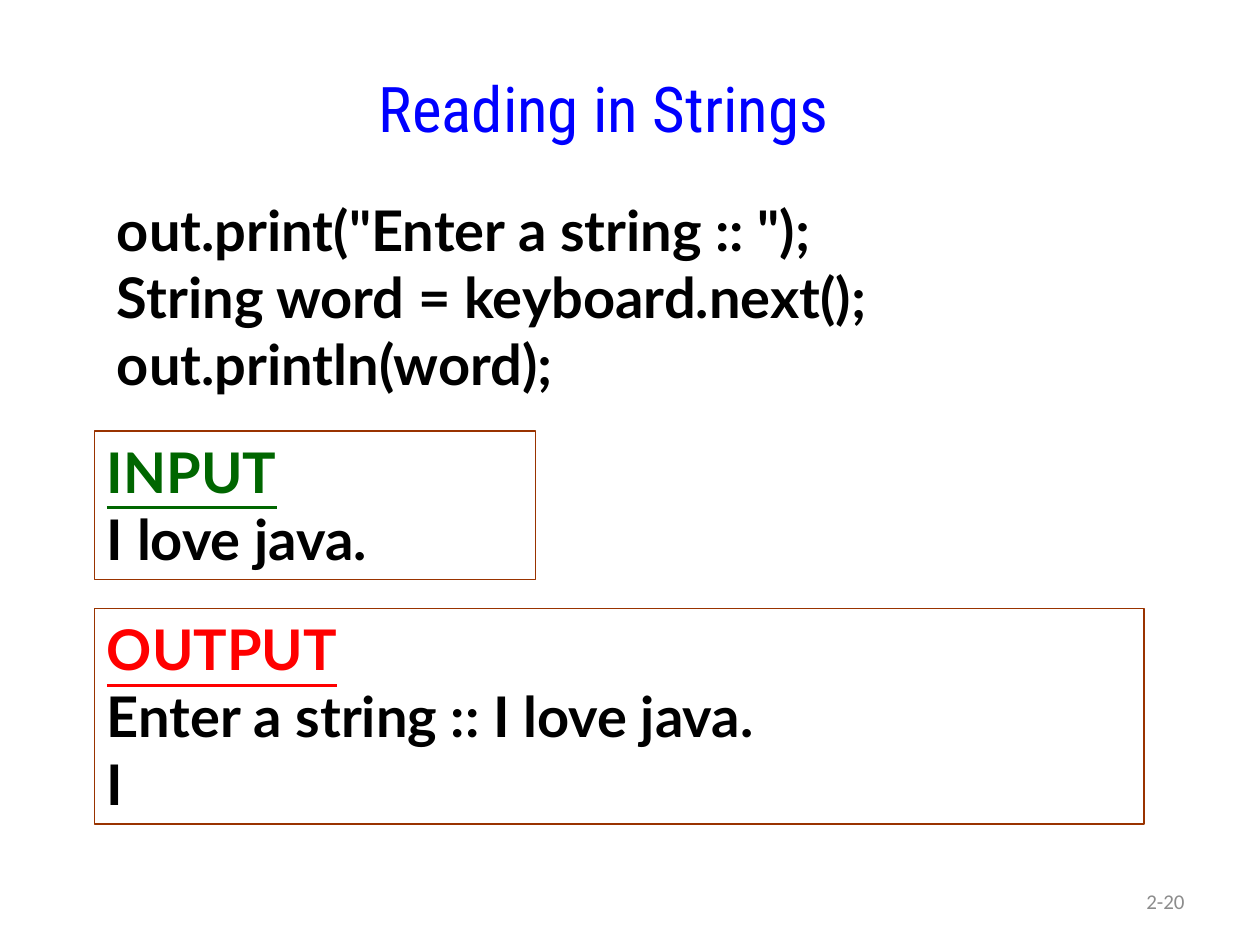
import dataclasses

import pptx
import pptx.dml.color
import pptx.enum.shapes
import pptx.enum.text
import pptx.util

ALIGN = pptx.enum.text.PP_ALIGN
ANCHOR = pptx.enum.text.MSO_ANCHOR
WIDTH, HEIGHT = 10, 7.5


@dataclasses.dataclass(frozen=True)
class Theme:
    title_font: str = "Roboto Condensed"
    body_font: str = "Lato"
    number_font: str = "Calibri"
    title_size: int = 36
    body_size: int = 32
    number_size: int = 12
    title: str = "0000FF"
    ink: str = "000000"
    paper: str = "FFFFFF"
    border: str = "993300"
    input: str = "006600"
    output: str = "FF0000"
    number: str = "8C8C8C"


THEME = Theme()


def rgb(value):
    return pptx.dml.color.RGBColor.from_string(value)


def inches(box):
    return [pptx.util.Inches(v) for v in box]


def style(p, name, size, color, bold=False, underline=False):
    font = p.font
    font.name, font.size = name, pptx.util.Pt(size)
    font.color.rgb = rgb(color)
    font.bold, font.underline = bold, underline


def add_label(slide, box, text, font, align, anchor=ANCHOR.TOP, wrap=True):
    tf = slide.shapes.add_textbox(*inches(box)).text_frame
    tf.word_wrap, tf.vertical_anchor = wrap, anchor
    p = tf.paragraphs[0]
    p.text, p.alignment = text, align
    style(p, *font)


def add_panel(slide, box, lines, heading=None, fill=None, border=None):
    """Rectangle of bold lines; a heading colour underlines the first line."""
    s = slide.shapes.add_shape(pptx.enum.shapes.MSO_SHAPE.RECTANGLE, *inches(box))
    s.shadow.inherit = False
    if fill:
        s.fill.solid()
        s.fill.fore_color.rgb = rgb(fill)
    else:
        s.fill.background()
    if border:
        s.line.color.rgb = rgb(border)
        s.line.width = pptx.util.Pt(1)
    else:
        s.line.fill.background()
    tf = s.text_frame
    tf.word_wrap, tf.vertical_anchor = True, ANCHOR.TOP
    for i, line in enumerate(lines):
        p = tf.paragraphs[0] if i == 0 else tf.add_paragraph()
        p.text, p.alignment = line, ALIGN.LEFT
        is_heading = heading is not None and i == 0
        style(p, THEME.body_font, THEME.body_size,
              heading if is_heading else THEME.ink, True, is_heading)


def main():
    prs = pptx.Presentation()
    prs.slide_width, prs.slide_height = inches((WIDTH, HEIGHT))
    slide = prs.slides.add_slide(prs.slide_layouts[6])
    left = 0.075 * WIDTH

    add_panel(slide, (0.83, 0.2 * HEIGHT, 8.58, 1.7),
              ['out.print("Enter a string :: ");',
               "String word = keyboard.next();",
               "out.println(word);"], fill=THEME.paper)
    add_panel(slide, (left, 4.83, 8.33, 1.71),
              ["OUTPUT", "Enter a string :: I love java.", "I"],
              heading=THEME.output, border=THEME.border)
    add_panel(slide, (left, 3.42, 0.35 * WIDTH, 1.18),
              ["INPUT", "I love java."],
              heading=THEME.input, border=THEME.border)
    add_label(slide, (1.75, 0.5, 6.08, 0.83), "Reading in Strings",
              (THEME.title_font, THEME.title_size, THEME.title),
              ALIGN.CENTER, wrap=False)
    add_label(slide, (7.17, 6.95, 2.33, 0.4), "2-20",
              (THEME.number_font, THEME.number_size, THEME.number),
              ALIGN.RIGHT, ANCHOR.MIDDLE)
    prs.save("out.pptx")


if __name__ == "__main__":
    main()
